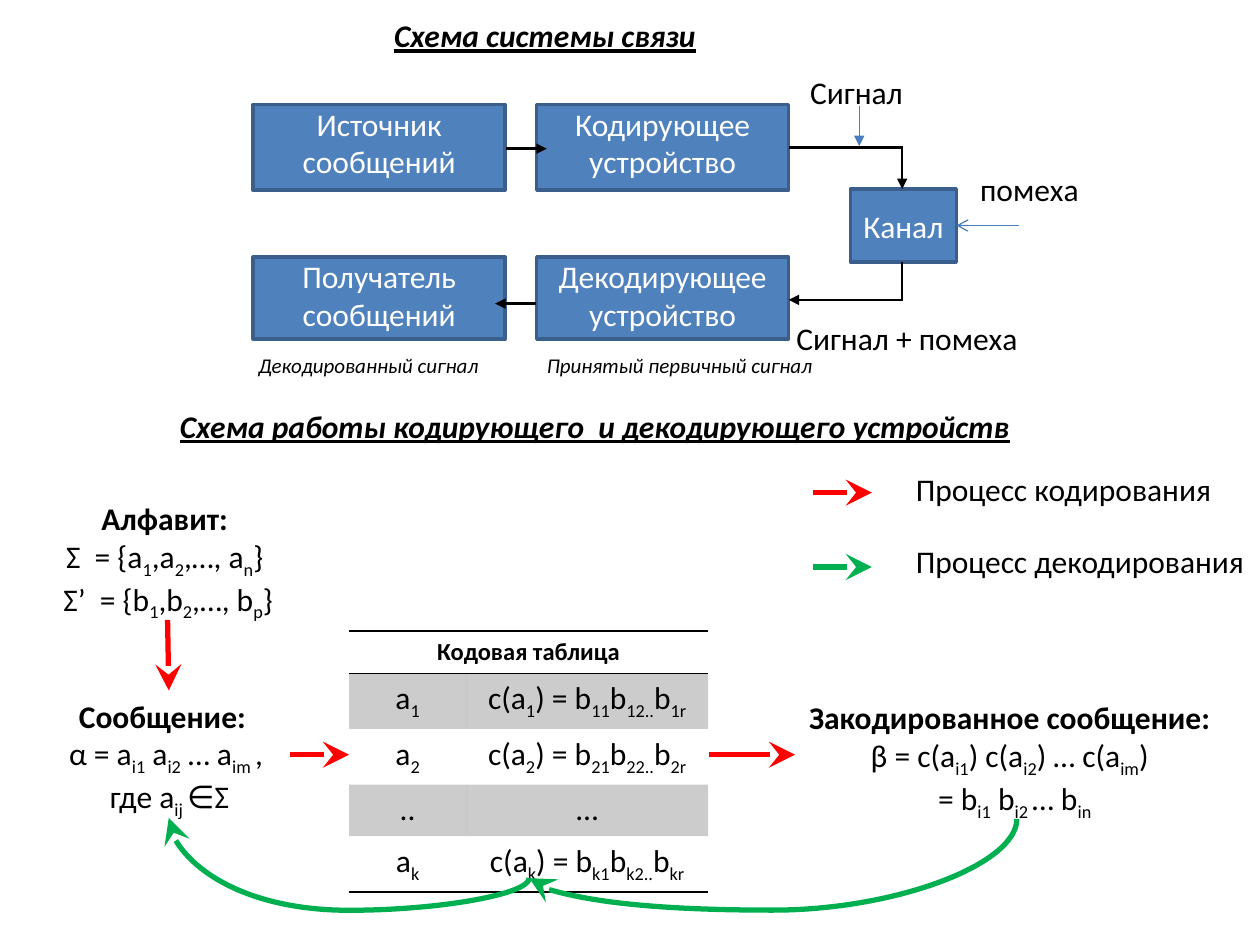
from lxml.etree import SubElement
from pptx import Presentation
from pptx.dml.color import RGBColor
from pptx.enum.shapes import MSO_CONNECTOR as Connector, MSO_SHAPE as Preset
from pptx.enum.text import MSO_ANCHOR as Anchor, MSO_AUTO_SIZE as AutoSize, PP_ALIGN as Align
from pptx.oxml import parse_xml
from pptx.oxml.ns import nsdecls, qn
from pptx.util import Inches, Pt

COLUMNS, ROWS = 100, 75
BLACK, WHITE, RED, GREEN = "000000", "FFFFFF", "FF0000", "00B050"
BOX_FILL, BOX_LINE, SIGNAL_LINE = "4F81BD", "3A5F8C", "4B7EBC"
PLAIN_TABLE = "{2D5ABB26-0587-4C30-8999-92F81FD0307C}"


def grid(*units):
    return [Inches(unit / 10) for unit in units]


def paint(color_format, color):
    color_format.rgb = RGBColor.from_string(color)


def add_run(paragraph, text, size=18, color=BLACK, bold=False, italic=False, underline=False):
    run = paragraph.add_run()
    run.text = text
    font = run.font
    font.name, font.size = "Calibri", Pt(size)
    font.bold, font.italic, font.underline = bold, italic, underline
    paint(font.color, color)
    return run


def add_formula(paragraph, formula):
    for index, part in enumerate(formula.replace("]", "[").split("[")):
        if part:
            run = add_run(paragraph, part)
            if index % 2:
                run.font._element.set("baseline", "-25000")


def clear_insets(frame):
    frame.margin_left = frame.margin_right = frame.margin_top = frame.margin_bottom = 0


def add_block(slide, area, text, middle=False):
    shape = slide.shapes.add_shape(Preset.RECTANGLE, *grid(*area))
    shape.shadow.inherit = False
    shape.fill.solid()
    paint(shape.fill.fore_color, BOX_FILL)
    paint(shape.line.color, BOX_LINE)
    shape.line.width = Pt(2)
    frame = shape.text_frame
    frame.word_wrap = True
    frame.vertical_anchor = Anchor.MIDDLE if middle else Anchor.TOP
    if not middle:
        clear_insets(frame)
    paragraph = frame.paragraphs[0]
    paragraph.alignment = Align.CENTER
    add_run(paragraph, text, color=WHITE)


def add_frame(slide, area, wrap):
    frame = slide.shapes.add_textbox(*grid(*area)).text_frame
    frame.word_wrap = wrap
    frame.auto_size = AutoSize.SHAPE_TO_FIT_TEXT
    return frame


def add_label(slide, area, text, tight=False, **style):
    frame = add_frame(slide, area, tight)
    if tight:
        clear_insets(frame)
    add_run(frame.paragraphs[0], text, **style)


def add_formula_box(slide, area, heading, paragraphs, wrap=False):
    frame = add_frame(slide, area, wrap)
    for index, lines in enumerate(paragraphs):
        paragraph = frame.paragraphs[0] if index == 0 else frame.add_paragraph()
        paragraph.alignment = Align.CENTER
        if index == 0:
            add_run(paragraph, heading, bold=True)
            paragraph.add_line_break()
        for number, line in enumerate(lines):
            if number:
                paragraph.add_line_break()
            add_formula(paragraph, line)


def style_line(connector, color, width, end=None, size="med"):
    paint(connector.line.color, color)
    connector.line.width = Pt(width)
    if end:
        SubElement(connector.line._get_or_add_ln(), qn("a:tailEnd"), type=end, w=size, len=size)
    SubElement(connector._element.spPr, qn("a:effectLst"))


def add_line(slide, points, color=BLACK, width=1.5, end=None, size="med"):
    connector = slide.shapes.add_connector(Connector.STRAIGHT, *grid(*points))
    style_line(connector, color, width, end, size)


def add_process_arrow(slide, points, color=RED):
    add_line(slide, points, color, 3, "stealth", "lg")


def add_return_curve(slide, points, bend):
    start_x, start_y, end_x, end_y = points
    middle_x, middle_y = (start_x + end_x) / 2, (start_y + end_y) / 2
    half_drop, half_span = (end_y - start_y) / 2, abs(end_x - start_x) / 2
    connector = slide.shapes.add_connector(Connector.CURVE, *grid(
        middle_x - half_drop, middle_y - half_span,
        middle_x + half_drop, middle_y + half_span))
    properties = connector._element.spPr
    properties.find(qn("a:xfrm")).set("rot", str(90 * 60000))
    guides = properties.find(qn("a:prstGeom")).get_or_add_avLst()
    SubElement(guides, qn("a:gd"), name="adj1", fmla=f"val {round(bend * 100000)}")
    style_line(connector, GREEN, 3, "stealth", "lg")


def add_border(cell, edge):
    cell._tc.get_or_add_tcPr().insert(0, parse_xml(
        f'<a:{edge} {nsdecls("a")} w="12700"><a:solidFill>'
        f'<a:srgbClr val="{BLACK}"/></a:solidFill></a:{edge}>'))


def fill_cell(cell, shaded):
    if not shaded:
        cell.fill.background()
        return
    cell.fill.solid()
    paint(cell.fill.fore_color, BLACK)
    color = cell._tc.tcPr.find(".//" + qn("a:srgbClr"))
    SubElement(color, qn("a:alpha")).set("val", "20000")


def add_code_table(slide, area, column_widths, row_heights, rows):
    table = slide.shapes.add_table(len(row_heights), 2, *grid(*area)).table
    table.first_row = table.horz_banding = False
    table._tbl.tblPr.find(qn("a:tableStyleId")).text = PLAIN_TABLE
    for column, width in zip(table.columns, grid(*column_widths)):
        column.width = width
    for row, height in zip(table.rows, grid(*row_heights)):
        row.height = height
    table.cell(0, 0).merge(table.cell(0, 1))
    heading = table.cell(0, 0).text_frame.paragraphs[0]
    heading.alignment = Align.CENTER
    add_run(heading, "Кодовая таблица", 14, bold=True)
    for number, row in enumerate(rows, 1):
        for column, formula in enumerate(row):
            paragraph = table.cell(number, column).text_frame.paragraphs[0]
            paragraph.alignment = Align.CENTER
            add_formula(paragraph, formula)
    for number in range(len(row_heights)):
        for column in range(2):
            cell = table.cell(number, column)
            fill_cell(cell, number % 2 == 1)
            if number in (0, len(rows)):
                add_border(cell, "lnB")
            if number == 0:
                add_border(cell, "lnT")


def add_communication_scheme(slide):
    title = dict(bold=True, italic=True, underline=True)
    add_label(slide, (30.3, 0.8, 26.2, 4), "Схема системы связи", **title)
    blocks = [("Источник сообщений", "Получатель сообщений"),
              ("Кодирующее устройство", "Декодирующее устройство")]
    for left, (upper, lower) in zip((20.1, 42.6), blocks):
        add_block(slide, (left, 8.3, 20, 6.8), upper)
        add_block(slide, (left, 20.4, 20, 6.5), lower)
    add_block(slide, (67.5, 15, 8.4, 5.8), "Канал ", middle=True)
    add_line(slide, (40.2, 11.8, 43.4, 11.8), end="triangle")
    add_line(slide, (42.5, 24.1, 39.3, 24.1), end="triangle")
    add_line(slide, (62.6, 11.7, 71.7, 11.7))
    add_line(slide, (71.6, 11.8, 71.6, 15), end="triangle")
    add_line(slide, (71.6, 20.8, 71.6, 23.8))
    add_line(slide, (71.7, 23.8, 62.6, 23.8), end="triangle")
    add_line(slide, (80.9, 17.9, 75.9, 17.9), SIGNAL_LINE, 0.75, "arrow")
    add_line(slide, (68.2, 8.4, 68.2, 11.6), SIGNAL_LINE, 0.75, "triangle")
    add_label(slide, (64.3, 5.8, 8.3, 3), "Сигнал", tight=True)
    add_label(slide, (63.2, 25.3, 17.9, 3), "Сигнал + помеха", tight=True)
    add_label(slide, (43.4, 28, 25, 2), "Принятый первичный сигнал", tight=True, size=12, italic=True)
    add_label(slide, (20.5, 28, 17.5, 2), "Декодированный сигнал", tight=True, size=12, italic=True)
    add_label(slide, (76.8, 13, 9.9, 4), "помеха")
    add_label(slide, (13.3, 31.8, 69.4, 4),
              "Схема работы кодирующего  и декодирующего устройств", **title)


def add_coding_scheme(slide):
    code_rows = [(f"a[{n}]", f"c(a[{n}]) = b[{n}1]b[{n}2..]b[{n}r]") for n in "12k"]
    code_rows.insert(2, ("..", "…"))
    add_code_table(slide, (27.7, 50.1, 28.5, 19.6), (9.3, 19.2),
                   (3.3, 4.1, 4.1, 4.1, 4.1), code_rows)
    add_formula_box(slide, (3.9, 54.8, 19.1, 10.1), "Сообщение:  ",
                    [["α = a[i1] a[i2] … a[im ], "], ["где a[ij ]∈Σ"]])
    add_formula_box(slide, (3.7, 39.1, 19.3, 10.1), "Алфавит: ",
                    [["Σ  = {a[1],a[2],…, a[n]} "], ["Σ’  = {b[1],b[2],…, b[p]}"]], wrap=True)
    add_formula_box(slide, (63.1, 54.9, 35.2, 10.1), "Закодированное сообщение:  ",
                    [["β = c(a[i1]) c(a[i2]) … c(a[im])  ", "= b[i1] b[i2 ]… b[in ]"]])
    add_process_arrow(slide, (13.3, 49.2, 13.4, 54.8))
    add_process_arrow(slide, (23, 59.9, 27.7, 59.9))
    add_process_arrow(slide, (56.3, 59.9, 63.1, 59.9))
    add_return_curve(slide, (80.7, 65, 42, 69.7), 1.54)
    add_return_curve(slide, (42, 69.7, 13.4, 64.9), -0.53)
    legend = [(39.1, 36.8, RED, "Процесс кодирования"),
              (45, 42.5, GREEN, "Процесс декодирования")]
    for arrow_row, label_row, color, text in legend:
        add_process_arrow(slide, (64.5, arrow_row, 69.2, arrow_row), color)
        add_label(slide, (71.7, label_row, 28.3, 4), text)


def main():
    presentation = Presentation()
    presentation.slide_width, presentation.slide_height = grid(COLUMNS, ROWS)
    slide = presentation.slides.add_slide(presentation.slide_layouts[6])
    add_communication_scheme(slide)
    add_coding_scheme(slide)
    presentation.save("out.pptx")


if __name__ == "__main__":
    main()
